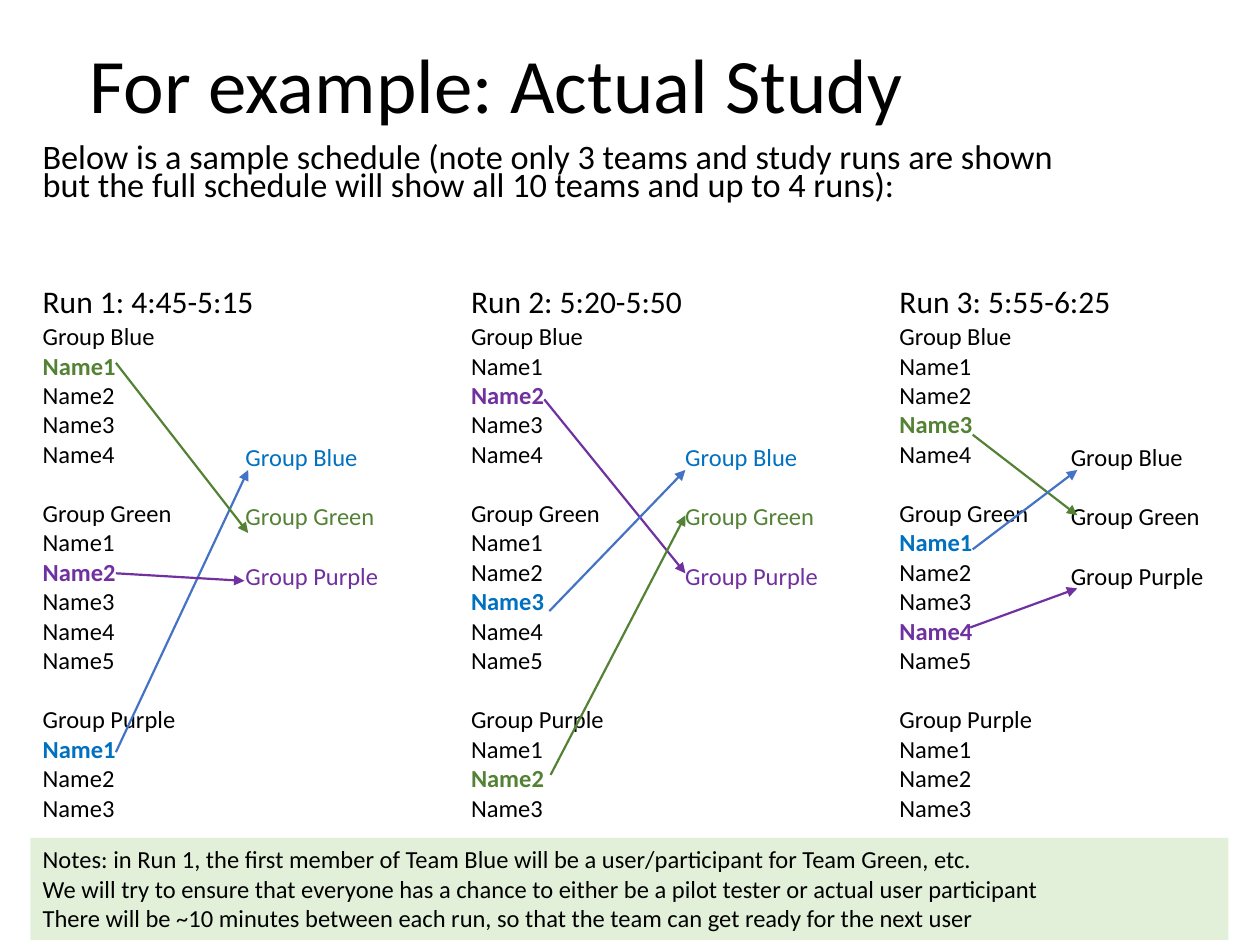
from lxml import etree
from pptx import Presentation
from pptx import util as u
from pptx.dml import color
from pptx.enum import shapes, text
from pptx.oxml import ns

PX = 9144
BLACK, BLUE, GREEN, PURPLE, ARROW_BLUE = "000000", "0070C0", "548235", "7030A0", "4472C4"


def rgb(value):
    return color.RGBColor.from_string(value)


def write(box, lines, size, spacing=None):
    frame = box.text_frame
    frame.word_wrap = True
    for index, (words, hue, bold, gap) in enumerate(lines):
        para = frame.paragraphs[0] if index == 0 else frame.add_paragraph()
        para.alignment = text.PP_ALIGN.LEFT
        para.space_before = u.Pt(gap)
        if spacing:
            para.line_spacing = spacing
        span = para.add_run()
        span.text = words
        span.font.name = "Calibri"
        span.font.size = u.Pt(size)
        span.font.bold = bold
        span.font.color.rgb = rgb(hue)


deck = Presentation()
deck.slide_width, deck.slide_height = 1000 * PX, 750 * PX
page = deck.slides.add_slide(deck.slide_layouts[5])

title = page.shapes.title
title.left, title.top, title.width, title.height = [n * PX for n in (61, -2, 862, 145)]
title.text_frame.vertical_anchor = text.MSO_ANCHOR.MIDDLE
title.text_frame.auto_size = text.MSO_AUTO_SIZE.NONE
write(title, [("For example: Actual Study", BLACK, False, 0)], 44, 0.9)

intro = page.shapes.add_textbox(24 * PX, 111 * PX, 862 * PX, 62 * PX)
write(intro, [(
    "Below is a sample schedule (note only 3 teams and study runs are shown "
    "but the full schedule will show all 10 teams and up to 4 runs):",
    BLACK, False, 0)], 19.6, 0.7)

teams = [("Blue", 4, BLUE), ("Green", 5, GREEN), ("Purple", 3, PURPLE)]
runs = [
    ("Run 1: 4:45-5:15", 185, True,
     {("Blue", 1): GREEN, ("Green", 2): PURPLE, ("Purple", 1): BLUE},
     [(92, 597, 197, 373, ARROW_BLUE), (92, 288, 197, 423, GREEN),
      (92, 455, 194, 461, PURPLE)]),
    ("Run 2: 5:20-5:50", 534, True,
     {("Blue", 2): PURPLE, ("Green", 3): BLUE, ("Purple", 2): GREEN},
     [(432, 317, 544, 455, PURPLE), (437, 615, 544, 409, GREEN),
      (436, 485, 544, 373, ARROW_BLUE)]),
    ("Run 3: 5:55-6:25", 840, False,
     {("Blue", 3): GREEN, ("Green", 1): BLUE, ("Green", 4): PURPLE},
     [(772, 345, 855, 409, GREEN), (772, 436, 855, 373, ARROW_BLUE),
      (770, 498, 855, 467, PURPLE)]),
]

for column, (heading, target_left, tinted, movers, arrows) in enumerate(runs):
    left = 24 + 340 * column
    roster, targets = [], []
    for order, (team, size, hue) in enumerate(teams):
        gap = 17 if order else 0
        roster.append((f"Group {team}", BLACK, False, gap))
        targets.append((f"Group {team}", hue if tinted else BLACK, False, gap))
        for number in range(1, size + 1):
            mover = movers.get((team, number))
            roster.append((f"Name{number}", mover or BLACK, bool(mover), 0))

    for x, y, width, height, lines, points in [
        (left, 250, 136, 411, roster, 14),
        (left, 219, 219, 41, [(heading, BLACK, False, 0)], 18),
        (target_left, 346, 136, 151, targets, 14),
    ]:
        box = page.shapes.add_textbox(x * PX, y * PX, width * PX, height * PX)
        write(box, lines, points)
        box.text_frame.auto_size = text.MSO_AUTO_SIZE.SHAPE_TO_FIT_TEXT

    for x1, y1, x2, y2, hue in arrows:
        arrow = page.shapes.add_connector(
            shapes.MSO_CONNECTOR.STRAIGHT, x1 * PX, y1 * PX, x2 * PX, y2 * PX)
        arrow.line.width = u.Pt(1.25)
        arrow.line.color.rgb = rgb(hue)
        etree.SubElement(arrow.line._get_or_add_ln(), ns.qn("a:tailEnd"), type="triangle")
        etree.SubElement(arrow._element.spPr, ns.qn("a:effectLst"))

notes = page.shapes.add_shape(
    shapes.MSO_SHAPE.RECTANGLE, 24 * PX, 665 * PX, 951 * PX, 81 * PX)
notes.shadow.inherit = False
notes.fill.solid()
notes.fill.fore_color.rgb = rgb("E2F0D9")
notes.line.fill.background()
notes.text_frame.vertical_anchor = text.MSO_ANCHOR.TOP
notes.text_frame.auto_size = text.MSO_AUTO_SIZE.SHAPE_TO_FIT_TEXT
write(notes, [(words, BLACK, False, 0) for words in (
    "Notes: in Run 1, the first member of Team Blue will be a user/participant for Team Green, etc.",
    "We will try to ensure that everyone has a chance to either be a pilot tester or actual user participant",
    "There will be ~10 minutes between each run, so that the team can get ready for the next user",
)], 14)

deck.save("out.pptx")
